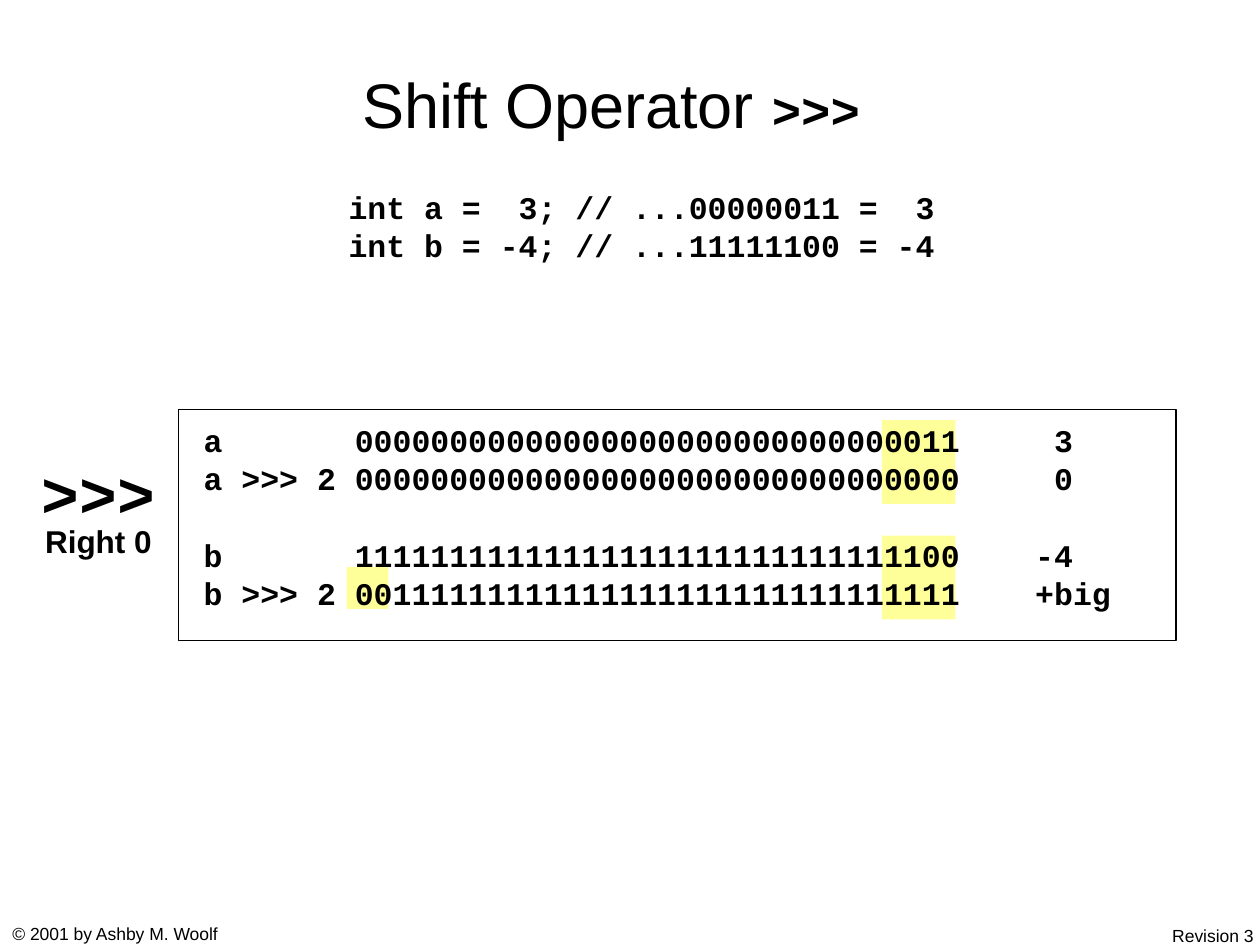
from lxml.etree import SubElement
from pptx import Presentation
from pptx.dml.color import RGBColor
from pptx.enum.shapes import MSO_SHAPE
from pptx.enum.text import MSO_ANCHOR, MSO_AUTO_SIZE, PP_ALIGN
from pptx.oxml.ns import qn
from pptx.util import Pt

THEME = {
    "ink": RGBColor(0, 0, 0),
    "highlight": RGBColor(0xFF, 0xFF, 0x99),
    "sans": "Arial",
    "mono": "Courier New",
    "title": 36,
    "operator": 28,
    "code": 18,
    "footer": 10,
}
LINE_SPACING = 0.8
PARAGRAPH_GAP = 4.5
GROUP_GAP = 26.5
CODE_CHAR = 10.8


def add_run(p, text, face, size, bold=False):
    r = p.add_run()
    r.text = text
    formats = {"name": THEME[face], "size": Pt(THEME[size]), "bold": bold}
    for key, value in formats.items():
        setattr(r.font, key, value)
    r.font.color.rgb = THEME["ink"]


def prepare_frame(sp, wrap=True, fit=MSO_AUTO_SIZE.NONE, top=3.6, side=7.2,
                  anchor=MSO_ANCHOR.TOP):
    tf = sp.text_frame
    formats = {"word_wrap": wrap, "auto_size": fit, "vertical_anchor": anchor,
               "margin_left": Pt(side), "margin_right": Pt(side),
               "margin_top": Pt(top), "margin_bottom": Pt(top)}
    for key, value in formats.items():
        setattr(tf, key, value)
    return tf


prs = Presentation()
prs.slide_width, prs.slide_height = Pt(720), Pt(540)
s = prs.slides.add_slide(prs.slide_layouts[1])
title, body = s.placeholders

# Title
title.left, title.top, title.width, title.height = Pt(54), Pt(30), Pt(612), Pt(66)
p = prepare_frame(title, anchor=MSO_ANCHOR.MIDDLE).paragraphs[0]
p.alignment, p.line_spacing = PP_ALIGN.CENTER, LINE_SPACING
add_run(p, "Shift Operator ", "sans", "title")
add_run(p, ">>>", "mono", "operator", True)
add_run(p, " ", "mono", "title", True)

# Declarations
body.left, body.top, body.width, body.height = Pt(192), Pt(108), Pt(354), Pt(48)
tf = prepare_frame(body)
declarations = ["int a =  3; // ...00000011 =  3", "int b = -4; // ...11111100 = -4"]
for i, text in enumerate(declarations):
    p = tf.add_paragraph() if i else tf.paragraphs[0]
    pPr = p._p.get_or_add_pPr()
    pPr.set("marL", "0")
    pPr.set("indent", "0")
    SubElement(pPr, qn("a:buNone"))
    p.line_spacing, p.space_before = LINE_SPACING, Pt(PARAGRAPH_GAP if i else 0)
    add_run(p, text, "mono", "code", True)

# Highlighted bits
for box in [(504, 240, 42, 48), (504, 306, 42, 48), (198, 324, 24, 24)]:
    sp = s.shapes.add_shape(MSO_SHAPE.RECTANGLE, *map(Pt, box))
    sp.shadow.inherit = False
    sp.fill.solid()
    sp.fill.fore_color.rgb = THEME["highlight"]
    sp.line.fill.background()

# Operator label
sp = s.shapes.add_textbox(Pt(16.5), Pt(264.5), Pt(79.5), Pt(59))
tf = prepare_frame(sp, wrap=False, fit=MSO_AUTO_SIZE.SHAPE_TO_FIT_TEXT)
for i, (text, face, size) in enumerate([(">>>", "mono", "title"), ("Right 0", "sans", "code")]):
    p = tf.add_paragraph() if i else tf.paragraphs[0]
    p.alignment, p.line_spacing = PP_ALIGN.CENTER, LINE_SPACING
    add_run(p, text, face, size, True)

# Bit patterns before and after the shift
sp = s.shapes.add_shape(MSO_SHAPE.RECTANGLE, Pt(102), Pt(234), Pt(570), Pt(132))
sp.shadow.inherit = False
sp.fill.background()
sp.line.color.rgb, sp.line.width = THEME["ink"], Pt(0.75)
tf = prepare_frame(sp, top=10.8, side=14.4)
rows = [
    ("a", "0" * 30 + "11", " 3", 0),
    ("a >>> 2", "0" * 32, " 0", PARAGRAPH_GAP),
    ("b", "1" * 30 + "00", "-4", GROUP_GAP),
    ("b >>> 2", "00" + "1" * 30, "+big", PARAGRAPH_GAP),
]
for i, (expression, bits, value, gap) in enumerate(rows):
    p = tf.add_paragraph() if i else tf.paragraphs[0]
    tabs = SubElement(p._p.get_or_add_pPr(), qn("a:tabLst"))
    for column in (8, 44):
        SubElement(tabs, qn("a:tab"), pos=str(Pt(column * CODE_CHAR)), algn="l")
    p.alignment, p.line_spacing, p.space_before = PP_ALIGN.LEFT, LINE_SPACING, Pt(gap)
    add_run(p, "\t".join((expression, bits, value)), "mono", "code", True)

# Footer
for text, left, top, width, align in [
    ("© 2001 by Ashby M. Woolf", 0, 524, 150, PP_ALIGN.LEFT),
    ("Revision 3", 643.5, 525, 80, PP_ALIGN.RIGHT),
]:
    sp = s.shapes.add_textbox(Pt(left), Pt(top), Pt(width), Pt(19.5))
    p = prepare_frame(sp).paragraphs[0]
    p.alignment = align
    add_run(p, text, "sans", "footer")

prs.save("out.pptx")
